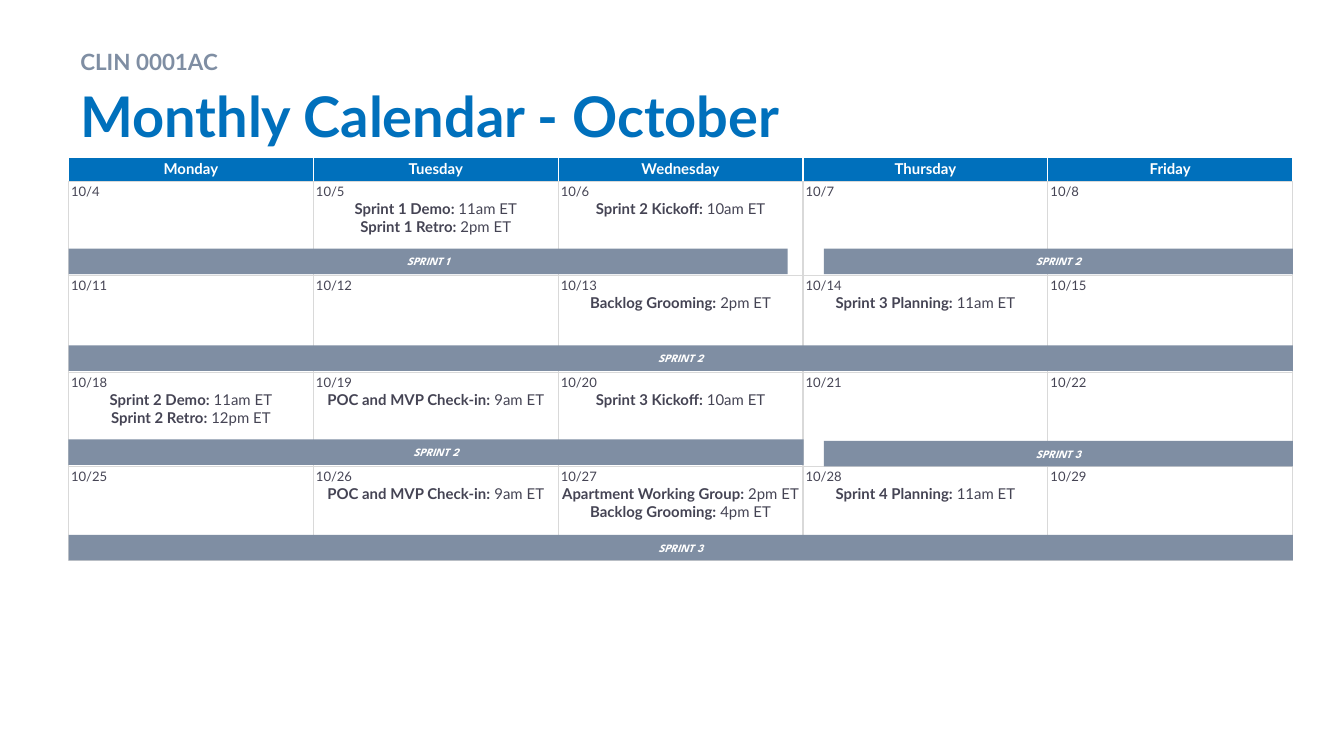
from lxml.etree import SubElement as Sub
from pptx import Presentation
from pptx.dml.color import RGBColor
from pptx.enum.shapes import MSO_SHAPE as Kind
from pptx.enum.text import MSO_ANCHOR as Anchor, PP_ALIGN as Align
from pptx.oxml.ns import qn
from pptx.util import Inches, Pt

BLUE, SLATE, INK, GRID, WHITE = "0070BC", "7F8EA3", "454454", "D9D9D9", "FFFFFF"
LEFT, TOP, WIDTH = 0.51, 1.17, 9.11
ROWS = [0.18, 0.7, 0.72, 0.7, 0.7]

DAYS = ["Monday", "Tuesday", "Wednesday", "Thursday", "Friday"]
MONDAYS = [4, 11, 18, 25]
EVENTS = {
    5: [("Sprint 1 Demo: ", "11am ET"), ("Sprint 1 Retro: ", "2pm ET")],
    6: [("Sprint 2 Kickoff: ", "10am ET")],
    13: [("Backlog Grooming: ", "2pm ET")],
    14: [("Sprint 3 Planning: ", "11am ET")],
    18: [("Sprint 2 Demo: ", "11am ET"), ("Sprint 2 Retro: ", "12pm ET")],
    19: [("POC and MVP Check-in: ", "9am ET")],
    20: [("Sprint 3 Kickoff: ", "10am ET")],
    26: [("POC and MVP Check-in: ", "9am ET")],
    27: [("Apartment Working Group: ", "2pm ET"), ("Backlog Grooming: ", "4pm ET")],
    28: [("Sprint 4 Planning: ", "11am ET")],
}
SPRINTS = [
    ("SPRINT 1", LEFT, 1.85, 5.35),
    ("SPRINT 2", 6.13, 1.85, 3.49),
    ("SPRINT 2", LEFT, 2.57, WIDTH),
    ("SPRINT 2", LEFT, 3.27, 5.47),
    ("SPRINT 3", 6.13, 3.28, 3.49),
    ("SPRINT 3", LEFT, 3.98, WIDTH),
]


def color(code):
    return RGBColor.from_string(code)


def write(para, text, size=8, tint=INK, face="Lato", bold=False, italic=False, align=Align.LEFT):
    para.alignment = align
    run = para.add_run()
    run.text = text
    font = run.font
    font.size, font.name, font.bold, font.italic = Pt(size), face, bold, italic
    font.color.rgb = color(tint)


def inset(item, x, y):
    item.margin_left = item.margin_right = Inches(x)
    item.margin_top = item.margin_bottom = Inches(y)


def heading(text, y, height, space=1, **style):
    frame = slide.shapes.add_textbox(Inches(0.5), Inches(y), Inches(9), Inches(height)).text_frame
    frame.word_wrap = True
    inset(frame, 0.1, 0.05)
    frame.paragraphs[0].line_spacing = space
    write(frame.paragraphs[0], text, bold=True, **style)


def dress(cell, fill, edge):
    inset(cell, 0.02, 0.02)
    props = cell._tc.get_or_add_tcPr()
    for side, tint in zip("LRTB", [edge, edge, edge, GRID]):
        line = Sub(props, qn("a:ln" + side), w=str(Pt(0.75)))
        Sub(Sub(line, qn("a:solidFill")), qn("a:srgbClr"), val=tint)
    cell.fill.solid()
    cell.fill.fore_color.rgb = color(fill)


def calendar():
    table = slide.shapes.add_table(len(ROWS), len(DAYS), Inches(LEFT), Inches(TOP),
                                   Inches(WIDTH), Inches(sum(ROWS))).table
    for row, height in zip(table.rows, ROWS):
        row.height = Inches(height)
    for c, name in enumerate(DAYS):
        table.columns[c].width = Inches(WIDTH / len(DAYS))
        head = table.cell(0, c)
        dress(head, BLUE, WHITE)
        write(head.text_frame.paragraphs[0], name, tint=WHITE, bold=True, align=Align.CENTER)
        for r, monday in enumerate(MONDAYS, 1):
            day = monday + c
            cell = table.cell(r, c)
            dress(cell, WHITE, GRID)
            frame = cell.text_frame
            write(frame.paragraphs[0], f"10/{day}", size=7)
            for event, time in EVENTS.get(day, []):
                para = frame.add_paragraph()
                write(para, event, bold=True, align=Align.CENTER)
                write(para, time, align=Align.CENTER)


def sprint(name, x, y, width):
    bar = slide.shapes.add_shape(Kind.RECTANGLE, Inches(x), Inches(y), Inches(width), Inches(0.19))
    bar.shadow.inherit = False
    bar.fill.solid()
    bar.fill.fore_color.rgb = color(SLATE)
    bar.line.fill.background()
    frame = bar.text_frame
    frame.vertical_anchor = Anchor.MIDDLE
    inset(frame, 0.1, 0.1)
    write(frame.paragraphs[0], name, size=6, tint=WHITE, face="League Spartan",
          bold=True, italic=True, align=Align.CENTER)


deck = Presentation()
deck.slide_width = Inches(10)
deck.slide_height = deck.slide_width * 9 // 16
slide = deck.slides.add_slide(deck.slide_layouts[6])
heading("CLIN 0001AC", 0.27, 0.29, space=1.2, size=12, tint=SLATE)
heading("Monthly Calendar - October", 0.56, 0.69, size=30, tint=BLUE)
calendar()
for item in SPRINTS:
    sprint(*item)
deck.save("out.pptx")
